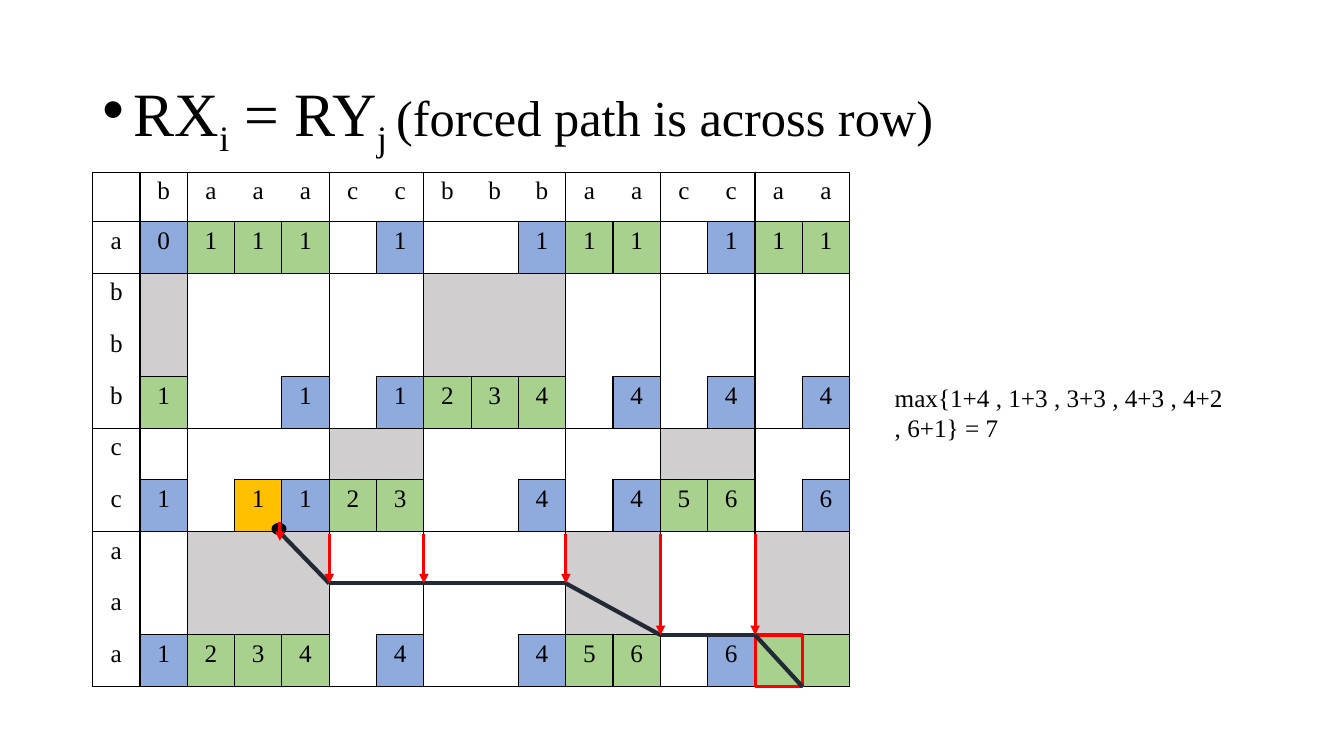
from itertools import groupby, pairwise

from lxml import etree
from pptx import Presentation
from pptx import util as u
from pptx.dml.color import RGBColor
from pptx.enum import shapes, text
from pptx.oxml import ns

BLACK, RED, NAVY = "000000", "FF0000", "222A35"
GREY, GREEN, BLUE, ORANGE = "D0CECE", "A9D18E", "8FAADC", "FFC000"

# A leading space stands for the empty corner; "." is a cell without a score.
ROW_LETTERS = " abbbccaaa"
COLUMN_LETTERS = " baaaccbbbaaccaa"
SCORES = {
    1: "0111.1..111.111",
    4: "1..1.1234.4.4.4",
    6: "1.1123..4.456.6",
    9: "1234.4..456.6..",
}
HIGHLIGHTS = {(6, 3): ORANGE}

TABLE_LEFT, TABLE_TOP = 66.2, 123
COLUMN_WIDTH, HEADER_HEIGHT, ROW_HEIGHT = 33.8, 35.4, 36.9


def rgb(hex_colour):
    return RGBColor.from_string(hex_colour)


def grid_x(column):
    return TABLE_LEFT + column * COLUMN_WIDTH


def grid_y(row):
    """Top edge of a row below the header."""
    return TABLE_TOP + HEADER_HEIGHT + (row - 1) * ROW_HEIGHT


def run_numbers(letters):
    """Number of the run of equal letters that each letter belongs to."""
    return [n for n, (_, run) in enumerate(groupby(letters)) for _ in run]


ROW_RUNS, COLUMN_RUNS = run_numbers(ROW_LETTERS), run_numbers(COLUMN_LETTERS)


def block(row, column):
    """Block of the run-length grid that holds a cell; None outside the table."""
    if 0 <= row < len(ROW_RUNS) and 0 <= column < len(COLUMN_RUNS):
        return ROW_RUNS[row], COLUMN_RUNS[column]
    return None


def cell_colour(row, column):
    if row == 0 or column == 0:
        return None
    if (row, column) in HIGHLIGHTS:
        return HIGHLIGHTS[row, column]
    last_row = block(row + 1, column) != block(row, column)
    last_column = block(row, column + 1) != block(row, column)
    if ROW_LETTERS[row] == COLUMN_LETTERS[column]:
        return GREEN if last_row else GREY
    return BLUE if last_row and last_column else None


def cell_label(row, column):
    if row == 0:
        return COLUMN_LETTERS[column].strip()
    if column == 0:
        return ROW_LETTERS[row]
    return SCORES[row][column - 1].strip(".") if row in SCORES else ""


def has_edge(cell, neighbour):
    return block(*cell) != block(*neighbour) or any(
        cell_colour(*c) not in (None, GREY) for c in (cell, neighbour))


class SlideBuilder:
    font, body_size = "Times New Roman", 18

    def __init__(self, deck):
        self.slide = deck.slides.add_slide(deck.slide_layouts[6])

    def add_run(self, paragraph, words, size=body_size, subscript=False):
        run = paragraph.add_run()
        run.text = words
        run.font.name, run.font.size = self.font, u.Pt(size)
        run.font.color.rgb = rgb(BLACK)
        if subscript:
            run.font._element.set("baseline", "-25000")

    def text_box(self, left, top, width, height, runs, anchor=text.MSO_ANCHOR.TOP,
                 bullet_indent=0):
        """Runs are tuples of the arguments of add_run."""
        frame = self.slide.shapes.add_textbox(
            *map(u.Pt, (left, top, width, height))).text_frame
        frame.word_wrap = True
        frame.vertical_anchor = anchor
        paragraph = frame.paragraphs[0]
        if bullet_indent:
            paragraph.line_spacing = 0.9
            properties = paragraph._p.get_or_add_pPr()
            properties.set("marL", str(u.Pt(bullet_indent)))
            properties.set("indent", str(-u.Pt(bullet_indent)))
            etree.SubElement(properties, ns.qn("a:buFont"), typeface="Arial")
            etree.SubElement(properties, ns.qn("a:buChar"), char="•")
        for run in runs:
            self.add_run(paragraph, *run)

    def border(self, cell, side, visible):
        line = etree.SubElement(cell._tc.get_or_add_tcPr(), ns.qn(f"a:ln{side}"),
                                w=str(u.Pt(1)))
        if visible:
            fill = etree.SubElement(line, ns.qn("a:solidFill"))
            etree.SubElement(fill, ns.qn("a:srgbClr"), val=BLACK)
        else:
            etree.SubElement(line, ns.qn("a:noFill"))

    def score_table(self):
        rows, columns = len(ROW_LETTERS), len(COLUMN_LETTERS)
        table = self.slide.shapes.add_table(
            rows, columns, u.Pt(TABLE_LEFT), u.Pt(TABLE_TOP),
            u.Pt(columns * COLUMN_WIDTH),
            u.Pt(HEADER_HEIGHT + (rows - 1) * ROW_HEIGHT)).table
        table.first_row = table.horz_banding = False
        for column in table.columns:
            column.width = u.Pt(COLUMN_WIDTH)
        for r, row in enumerate(table.rows):
            row.height = u.Pt(ROW_HEIGHT if r else HEADER_HEIGHT)
            for c, cell in enumerate(row.cells):
                self.score_cell(cell, r, c)

    def score_cell(self, cell, r, c):
        neighbours = {"L": (r, c - 1), "R": (r, c + 1), "T": (r - 1, c), "B": (r + 1, c)}
        for side, neighbour in neighbours.items():
            self.border(cell, side, has_edge((r, c), neighbour))
        colour = cell_colour(r, c)
        if colour:
            cell.fill.solid()
            cell.fill.fore_color.rgb = rgb(colour)
        else:
            cell.fill.background()
        paragraph = cell.text_frame.paragraphs[0]
        paragraph.alignment = text.PP_ALIGN.CENTER
        if cell_label(r, c):
            self.add_run(paragraph, cell_label(r, c))

    def outline(self, preset, left, top, width, height, colour, fill=None):
        shape = self.slide.shapes.add_shape(preset, *map(u.Pt, (left, top, width, height)))
        shape.shadow.inherit = False
        shape.line.color.rgb, shape.line.width = rgb(colour), u.Pt(2.25)
        if fill:
            shape.fill.solid()
            shape.fill.fore_color.rgb = rgb(fill)
        else:
            shape.fill.background()

    def line(self, start, end, colour, width, arrow=False):
        connector = self.slide.shapes.add_connector(
            shapes.MSO_CONNECTOR.STRAIGHT, *map(u.Pt, (*start, *end)))
        connector.line.color.rgb, connector.line.width = rgb(colour), u.Pt(width)
        if arrow:
            etree.SubElement(connector.line._get_or_add_ln(), ns.qn("a:tailEnd"),
                             type="triangle")
        etree.SubElement(connector._element.spPr, ns.qn("a:effectLst"))

    def arrow_down(self, x, top, bottom):
        self.line((x, top), (x, bottom), RED, 2.25, arrow=True)


def main():
    deck = Presentation()
    deck.slide_width, deck.slide_height = u.Pt(960), u.Pt(540)
    page = SlideBuilder(deck)

    page.text_box(66, 28.8, 828, 104.4, [
        ("RX", 44), ("i", 44, True), (" = RY", 44), ("j ", 44, True),
        ("(forced path is across row)", 36),
    ], anchor=text.MSO_ANCHOR.MIDDLE, bullet_indent=22.5)
    page.score_table()
    page.text_box(632, 269.5, 250.5, 51, [("max{1+4 , 1+3 , 3+3 , 4+3 , 4+2 , 6+1} = 7",)])

    page.outline(shapes.MSO_SHAPE.RECTANGLE, grid_x(14), grid_y(9),
                 COLUMN_WIDTH, ROW_HEIGHT, RED)
    path_start = (grid_x(4) - 2, grid_y(7))
    corners = [(5, 8), (10, 8), (12, 9), (14, 9), (15, 10)]
    forced_path = [path_start] + [(grid_x(c), grid_y(r)) for c, r in corners]
    for start, end in pairwise(forced_path):
        page.line(start, end, NAVY, 3)

    start_x, start_y = path_start
    page.outline(shapes.MSO_SHAPE.OVAL, start_x - 4.4, start_y - 5.2, 8.6, 6.5, BLACK, BLACK)
    page.arrow_down(start_x + 0.5, start_y - 7, start_y + 6.5)
    for column, row in [(5, 8), (7, 8), (10, 8), (12, 9), (14, 9)]:
        page.arrow_down(grid_x(column), grid_y(7) + 1.5, grid_y(row))

    deck.save("out.pptx")


if __name__ == "__main__":
    main()
